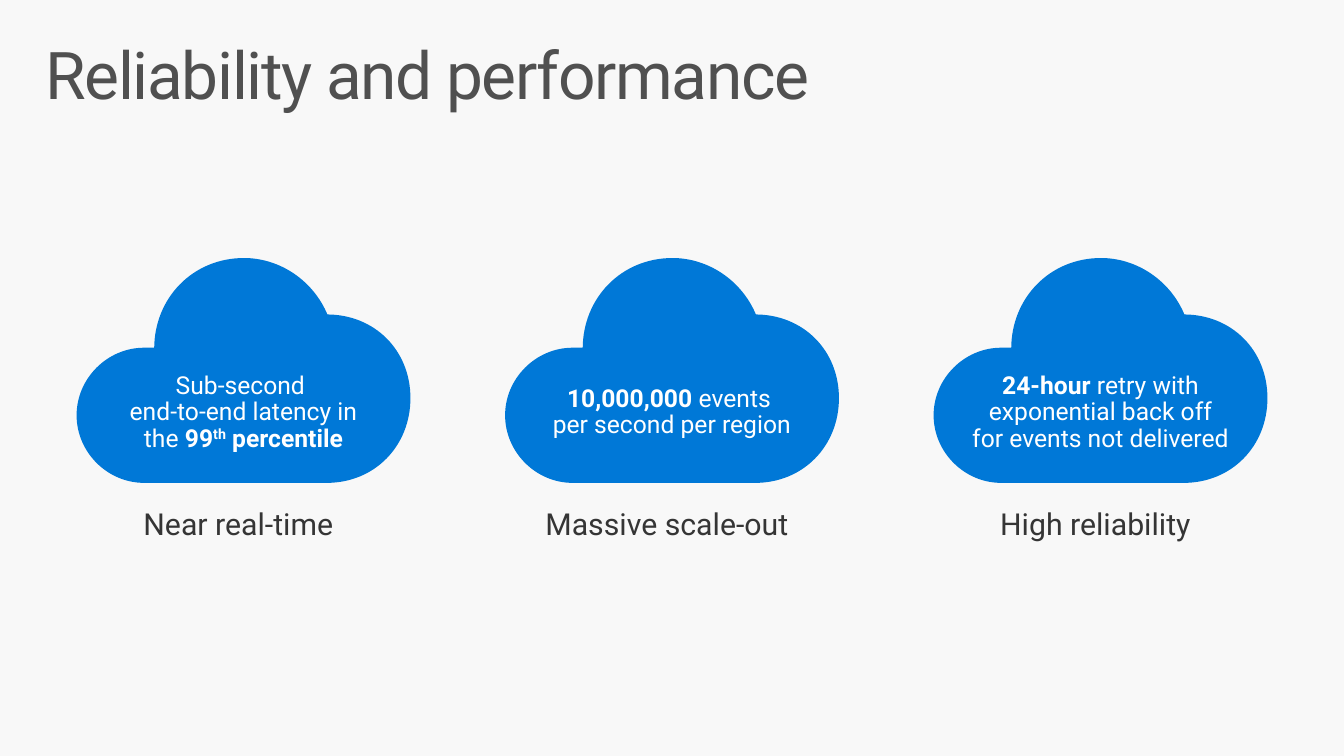
from dataclasses import dataclass

from lxml.etree import SubElement as Sub
from pptx import Presentation
from pptx.dml.color import RGBColor as Rgb
from pptx.enum.text import MSO_ANCHOR as Anchor, MSO_AUTO_SIZE as Fit, PP_ALIGN as Align
from pptx.oxml.ns import qn
from pptx.util import Inches, Pt


@dataclass(frozen=True)
class Theme:
    """Colours, font and type sizes of the slide."""
    back: str = "F8F8F8"
    title: str = "505050"
    label: str = "353535"
    cloud: str = "0078D7"
    fact: str = "FFFFFF"
    font: str = "Roboto"
    big: float = 47
    mid: float = 21.6
    small: float = 17.6


THEME = Theme()
WIDE, HIGH = 13.33, 7.5
LEFT, PITCH, COL = 0.65, 4.25, 3.53
SPAN, RISE = 3.29, 2.21
START = (0.77, 0.89)
CURVES = [
    [(0.77, 0.39), (1.15, 0), (1.65, 0)],
    [(2, 0), (2.33, 0.22), (2.47, 0.56)],
    [(2.94, 0.56), (SPAN, 0.91), (SPAN, 1.38)],
    [(SPAN, 1.85), (2.94, RISE), (2.47, RISE)],
    [(0.66, RISE)] * 3,
    [(0.3, RISE), (0, 1.91), (0, 1.55)],
    [(0, 1.19), (0.3, 0.89), (0.66, 0.89)],
    [(0.69, 0.89), (0.74, 0.89), START],
]
FACTS = [
    ("Near real-time", (2.58, 0.9), [
        ("Sub-second \nend-to-end latency in the ", False, 0),
        ("99", True, 0), ("th", True, 30), (" percentile", True, 0)]),
    ("Massive scale-out", (2.58, 0.64), [
        ("10,000,000", True, 0),
        (" events \nper second per region", False, 0)]),
    ("High reliability", (2.75, 0.9), [
        ("24-hour", True, 0),
        (" retry with exponential back off for events not delivered", False, 0)]),
]


def bend(shape):
    """Give the shape the cloud's curved outline."""
    trail = next(shape._element.iter(qn("a:path")))
    for step in list(trail):
        trail.remove(step)
    moves = [("a:moveTo", [START])] + [("a:cubicBezTo", c) for c in CURVES]
    for name, spots in moves:
        step = Sub(trail, qn(name))
        for a, b in spots:
            Sub(step, qn("a:pt"), x=str(Inches(a)), y=str(Inches(b)))
    Sub(trail, qn("a:close"))


def write(shapes, box, parts, size, color, pads, align=Align.CENTER, fit=Fit.SHAPE_TO_FIT_TEXT):
    """Add a one-paragraph text box of (text, bold, raise) parts and return its paragraph."""
    frame = shapes.add_textbox(*map(Inches, box)).text_frame
    frame.word_wrap = True
    frame.auto_size = fit
    frame.vertical_anchor = Anchor.TOP
    (frame.margin_left, frame.margin_top,
     frame.margin_right, frame.margin_bottom) = map(Inches, pads)
    para = frame.paragraphs[0]
    para.alignment, para.line_spacing = align, 0.9
    para.font.name, para.font.size = THEME.font, Pt(size)
    para.font.color.rgb = Rgb.from_string(color)
    for text, bold, lift in parts:
        for n, line in enumerate(text.split("\n")):
            if n:
                para.add_line_break()
            run = para.add_run()
            run.text = line
            if bold:
                run.font.bold = True
            if lift:
                run.font._element.set("baseline", str(lift * 1000))
    return para


def head(slide, box):
    """Place the slide title in its box."""
    para = write(slide.shapes, box, [("Reliability and performance", False, 0)],
                 THEME.big, THEME.title, (0.16, 0.1, 0.16, 0.1), Align.LEFT, Fit.NONE)
    para.runs[0].font._element.set("spc", "-100")


def cloud(slide, box, size, parts):
    """Draw a cloud in its box with a fact centred on its lower part."""
    x, y, wide, high = box
    group = slide.shapes.add_group_shape().shapes
    pen = group.build_freeform(0, 0)
    pen.add_line_segments([(Inches(a), Inches(b))
                           for a, b in ((wide, 0), (wide, high), (0, high))])
    shape = pen.convert_to_shape(Inches(x), Inches(y))
    bend(shape)
    shape.shadow.inherit = False
    shape.fill.solid()
    shape.fill.fore_color.rgb = shape.line.color.rgb = Rgb.from_string(THEME.cloud)
    shape.line.width = Pt(1.5)
    broad, tall = size
    spot = (x + (wide - broad) / 2, y + 1.53 - tall / 2, broad, tall)
    para = write(group, spot, parts, THEME.small, THEME.fact, (0.1, 0.05, 0.1, 0.05))
    para.space_after = Pt(5)


def column(slide, box, label, size, parts):
    """Place a cloud and the label below it."""
    x, y, wide, high = box
    cloud(slide, (x + 0.12, y, SPAN, RISE), size, parts)
    write(slide.shapes, (x, y + high - 0.65, wide, 0.65), [(label, False, 0)],
          THEME.mid, THEME.label, (0.1, 0.16, 0.2, 0.16))


def main():
    """Build and save the slide."""
    deck = Presentation()
    deck.slide_width, deck.slide_height = Inches(WIDE), Inches(HIGH)
    slide = deck.slides.add_slide(deck.slide_layouts[6])
    slide.background.fill.solid()
    slide.background.fill.fore_color.rgb = Rgb.from_string(THEME.back)
    head(slide, (0.29, 0.32, 12.75, 0.98))
    for n, fact in enumerate(FACTS):
        column(slide, (LEFT + n * PITCH, 2.57, COL, 2.97), *fact)
    deck.save("out.pptx")


if __name__ == "__main__":
    main()
